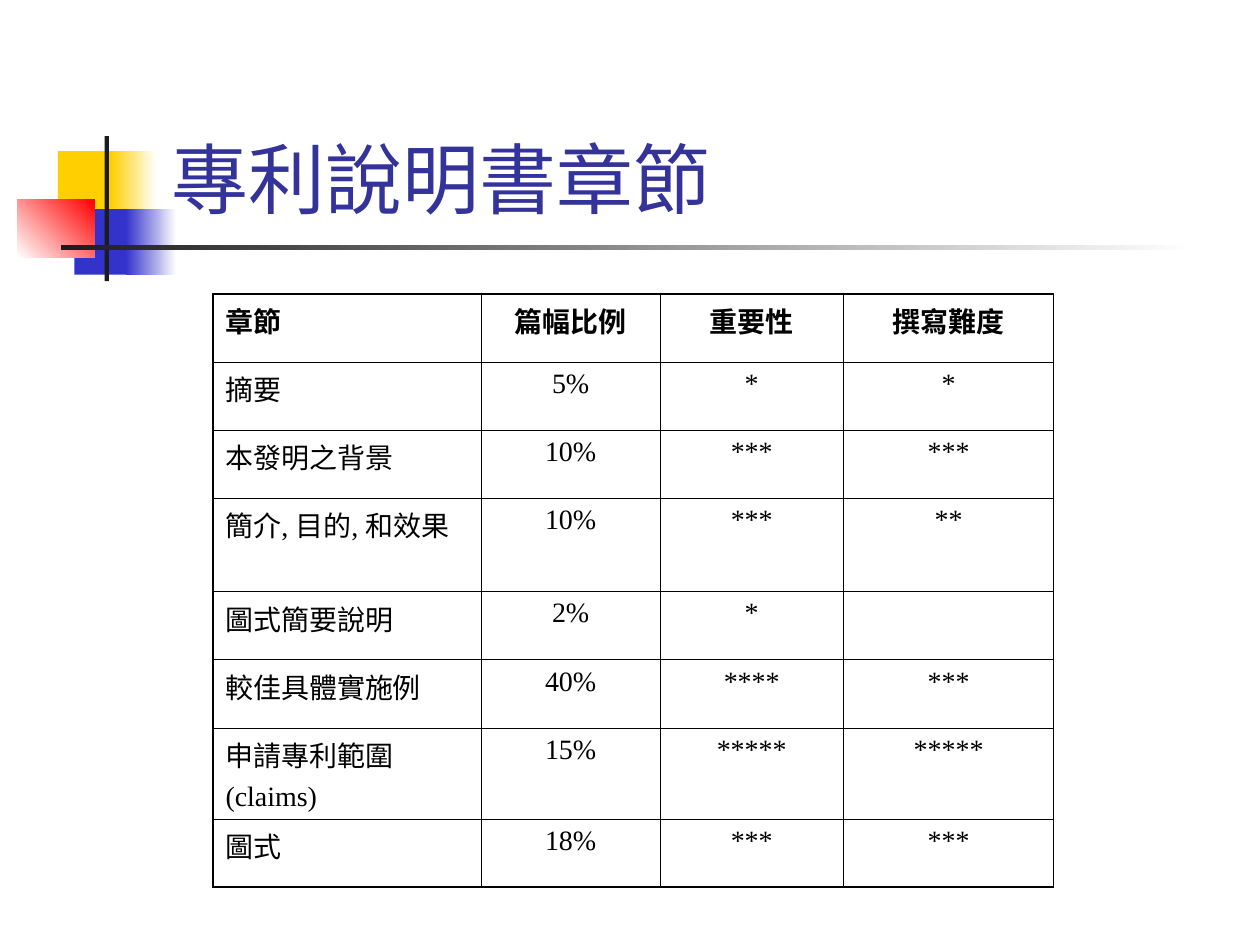
from lxml.etree import SubElement
from pptx import Presentation
from pptx.dml.color import RGBColor
from pptx.enum.shapes import MSO_SHAPE as Shape
from pptx.enum.text import MSO_ANCHOR as Anchor, MSO_AUTO_SIZE as AutoSize, PP_ALIGN as Align
from pptx.oxml.ns import qn
from pptx.util import Pt

COLORS = {"yellow": "FFCF01", "blue": "3333CC", "red": "FF0000", "white": "FFFFFF",
          "dark": "1C1C1C", "title": "333399", "black": "000000"}
FONT = "Times New Roman"

# Left, top, width, height, colours (two make a gradient), clockwise angle
ORNAMENTS = [
    (33.1, 86.4, 34.6, 37.4, ["yellow"], 0),
    (63.4, 86.4, 25.9, 37.4, ["yellow", "white"], 0),
    (42.5, 119.5, 33.1, 37.4, ["blue"], 0),
    (72, 119.5, 28.8, 37.4, ["blue", "white"], 0),
    (10, 113.8, 44, 33.1, ["white", "red"], 315),
    (59.8, 77.8, 2.4, 82.8, ["dark"], 0),
    (34.6, 140.2, 648, 2.5, ["dark", "white"], 0),
]

COLUMN_WIDTHS = [153.4, 102, 105, 120]
ROW_HEIGHTS = [39, 39, 39, 45.5, 39, 39, 49.7, 39]
ROWS = [
    ("章節", "篇幅比例", "重要性", "撰寫難度"),
    ("摘要", "5%", "*", "*"),
    ("本發明之背景", "10%", "***", "***"),
    ("簡介, 目的, 和效果", "10%", "***", "**"),
    ("圖式簡要說明", "2%", "*", ""),
    ("較佳具體實施例", "40%", "****", "***"),
    ("申請專利範圍\n(claims)", "15%", "*****", "*****"),
    ("圖式", "18%", "***", "***"),
]
OUTER_LINE, INNER_LINE = 1.08, 0.45


def rgb(name):
    return RGBColor.from_string(COLORS[name])


def set_font(span, color, **values):
    for name, value in {"name": FONT, **values}.items():
        setattr(span.font, name, value)
    span.font.color.rgb = rgb(color)


def add_ornament(page, left, top, width, height, colors, angle):
    block = page.shapes.add_shape(Shape.RECTANGLE, Pt(left), Pt(top), Pt(width), Pt(height))
    block.shadow.inherit = False
    block.line.fill.background()
    if len(colors) == 1:
        block.fill.solid()
        block.fill.fore_color.rgb = rgb(colors[0])
    else:
        block.fill.gradient()
        block.fill.gradient_angle = (360 - angle) % 360
        for stop, color in zip(block.fill.gradient_stops, colors):
            stop.color.rgb = rgb(color)


def fill_title(page, text):
    title = page.shapes.title
    for name, value in {"left": 90.7, "top": 16.6, "width": 613.4, "height": 115.2}.items():
        setattr(title, name, Pt(value))
    frame = title.text_frame
    frame.auto_size = AutoSize.NONE
    frame.vertical_anchor = Anchor.BOTTOM
    para = frame.paragraphs[0]
    para.alignment = Align.LEFT
    span = para.add_run()
    span.text = text
    set_font(span, "title", size=Pt(44))


def set_borders(cell, edges):
    """Draw the four sides of a cell; edges tells which lie on the table's rim."""
    properties = cell._tc.get_or_add_tcPr()
    for side, on_rim in edges.items():
        width = OUTER_LINE if on_rim else INNER_LINE
        line = SubElement(properties, qn(f"a:ln{side}"), w=str(int(Pt(width))))
        SubElement(SubElement(line, qn("a:solidFill")), qn("a:srgbClr"), val=COLORS["black"])


def fill_cell(cell, text, align, bold):
    cell.text = text
    for index, para in enumerate(cell.text_frame.paragraphs):
        para.alignment = align
        if index:
            para.space_before = Pt(4)
        for span in para.runs:
            set_font(span, "black", size=Pt(16), bold=bold)


def add_section_table(page):
    table = page.shapes.add_table(len(ROWS), len(COLUMN_WIDTHS), Pt(121.7), Pt(167.8),
                                  Pt(sum(COLUMN_WIDTHS)), Pt(sum(ROW_HEIGHTS))).table
    table.first_row = table.horz_banding = False
    for column, width in zip(table.columns, COLUMN_WIDTHS):
        column.width = Pt(width)
    for row, height in zip(table.rows, ROW_HEIGHTS):
        row.height = Pt(height)
    last_row, last_column = len(ROWS) - 1, len(COLUMN_WIDTHS) - 1
    for r, texts in enumerate(ROWS):
        for c, text in enumerate(texts):
            cell = table.cell(r, c)
            fill_cell(cell, text, Align.CENTER if c else Align.LEFT, bold=r == 0)
            set_borders(cell, {"L": c == 0, "R": c == last_column,
                               "T": r == 0, "B": r == last_row})
            cell.fill.background()


def main():
    deck = Presentation()
    deck.slide_width, deck.slide_height = Pt(720), Pt(540)
    page = deck.slides.add_slide(deck.slide_layouts[5])

    # Corner ornament and rule
    for ornament in ORNAMENTS:
        add_ornament(page, *ornament)

    # Title, brought in front of the ornament
    fill_title(page, "專利說明書章節")
    page.shapes._spTree.append(page.shapes.title._element)

    # Table of patent sections
    add_section_table(page)
    deck.save("out.pptx")


if __name__ == "__main__":
    main()
